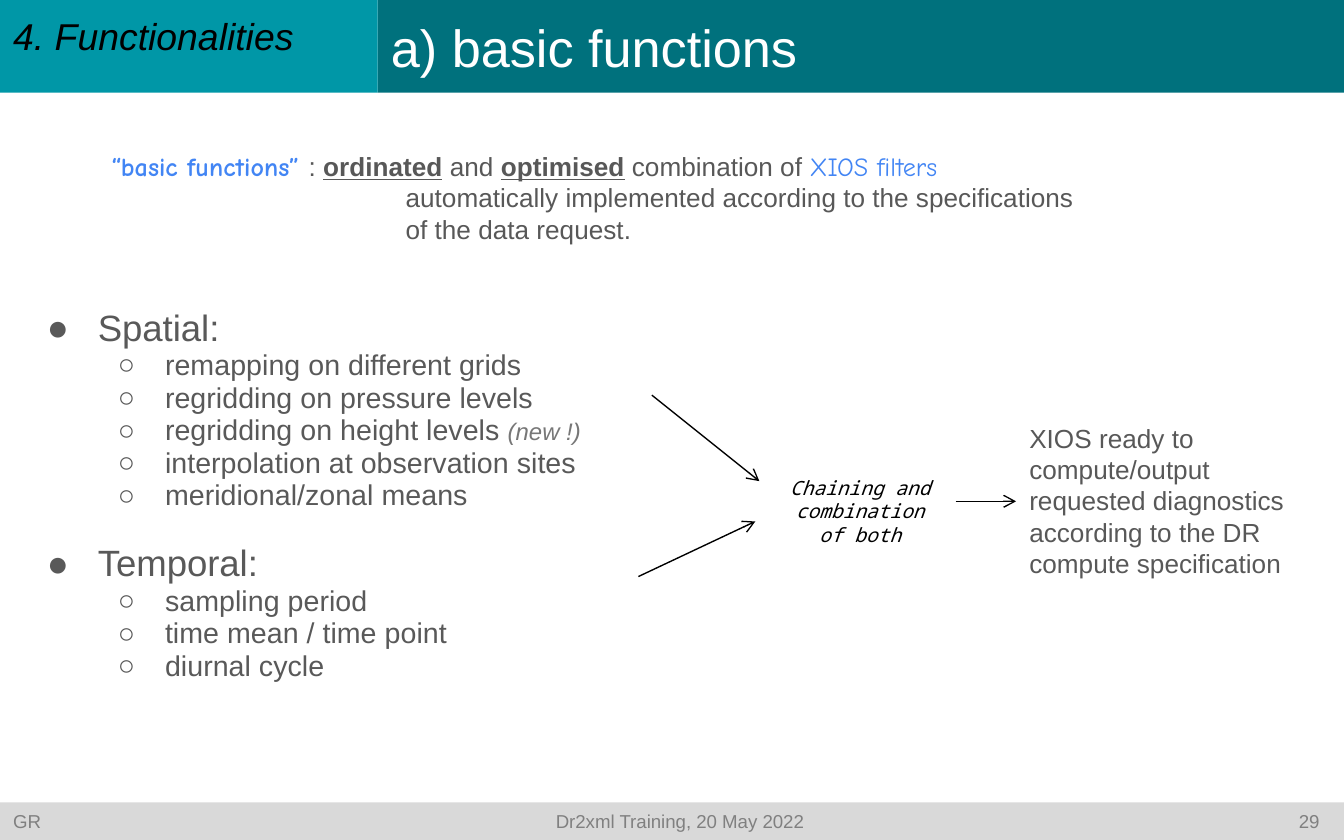
import pptx
import pptx.dml.color
import pptx.enum.shapes
import pptx.enum.text
import pptx.oxml.ns
import pptx.util
from lxml import etree

RGBColor = pptx.dml.color.RGBColor
ANCHOR = pptx.enum.text.MSO_ANCHOR
ALIGN = pptx.enum.text.PP_ALIGN

DARK_TEAL = RGBColor(0x00, 0x71, 0x7D)
TEAL = RGBColor(0x00, 0x97, 0xA7)
LIGHT_GREY = RGBColor(0xD9, 0xD9, 0xD9)
MID_GREY = RGBColor(0x80, 0x80, 0x80)
NOTE_GREY = RGBColor(0x77, 0x77, 0x77)
LIST_GREY = RGBColor(0x59, 0x59, 0x59)
BODY_GREY = RGBColor(0x58, 0x58, 0x58)
BLUE = RGBColor(0x42, 0x85, 0xF4)
BLACK = RGBColor(0, 0, 0)
WHITE = RGBColor(0xFF, 0xFF, 0xFF)

SLIDE_WIDTH = pptx.util.Inches(10)
SLIDE_HEIGHT = pptx.util.Inches(6.25)
BANNER_ROWS = 11.04
SECTION_COLS = 28.1

FUNCTIONS = [
    ("Spatial:", [
        "remapping on different grids",
        "regridding on pressure levels",
        "regridding on height levels ",
        "interpolation at observation sites",
        "meridional/zonal means",
    ]),
    ("Temporal:", ["sampling period", "time mean / time point", "diurnal cycle"]),
]
NEW_FUNCTION = "regridding on height levels "


def cols(count):
    """Length of count columns, each 1/100 of the slide's width."""
    return pptx.util.Emu(round(SLIDE_WIDTH * count / 100))


def rows(count):
    """Length of count rows, each 1/100 of the slide's height."""
    return pptx.util.Emu(round(SLIDE_HEIGHT * count / 100))


def area(left, top, width, height):
    return cols(left), rows(top), cols(width), rows(height)


def add_xml(parent, tag, **attributes):
    return etree.SubElement(parent, pptx.oxml.ns.qn(tag), attributes)


def add_run(paragraph, text, size, color, font="Arial",
            bold=False, italic=False, underline=False):
    run = paragraph.add_run()
    run.text = text
    run.font.name = font
    run.font.size = pptx.util.Pt(size)
    run.font.color.rgb = color
    run.font.bold = bold
    run.font.italic = italic
    run.font.underline = underline


def set_indent(paragraph, margin, hanging):
    properties = paragraph._p.get_or_add_pPr()
    properties.set("marL", str(margin))
    properties.set("indent", str(-hanging))


def add_bar(slide, place, fill, anchor):
    """Filled band; returns its left-aligned first paragraph."""
    bar = slide.shapes.add_shape(pptx.enum.shapes.MSO_SHAPE.RECTANGLE, *place)
    bar.shadow.inherit = False
    bar.fill.solid()
    bar.fill.fore_color.rgb = fill
    bar.line.fill.background()
    frame = bar.text_frame
    frame.vertical_anchor = anchor
    if anchor == ANCHOR.TOP:
        frame.margin_top = cols(1)
    frame.paragraphs[0].alignment = ALIGN.LEFT
    return frame.paragraphs[0]


def add_text(slide, place):
    text_box = slide.shapes.add_textbox(*place)
    text_box.text_frame.word_wrap = True
    return text_box


def add_arrow(slide, start, end, target=None):
    """Arrow between two (column, row) points, or to target's left side."""
    arrow = slide.shapes.add_connector(
        pptx.enum.shapes.MSO_CONNECTOR.STRAIGHT,
        cols(start[0]), rows(start[1]), cols(end[0]), rows(end[1]))
    if target is not None:
        arrow.end_connect(target, 1)
    arrow.line.color.rgb = BLACK
    arrow.line.width = pptx.util.Pt(0.75)
    add_xml(arrow.line._get_or_add_ln(), "a:tailEnd", type="arrow")
    add_xml(arrow._element.spPr, "a:effectLst")


def add_bullet(paragraph, symbol, margin, hanging):
    paragraph.line_spacing = 0.95
    set_indent(paragraph, margin, hanging)
    properties = paragraph._p.get_or_add_pPr()
    bullet_color = add_xml(properties, "a:buClr")
    add_xml(bullet_color, "a:srgbClr", val=str(LIST_GREY))
    add_xml(properties, "a:buFont", typeface="Arial")
    add_xml(properties, "a:buChar", char=symbol)


def add_function_list(slide):
    frame = add_text(slide, area(1.3, 35.04, 61, 49.28)).text_frame
    frame.margin_top = frame.margin_bottom = cols(1)
    for index, (group, functions) in enumerate(FUNCTIONS):
        heading = frame.add_paragraph() if index else frame.paragraphs[0]
        if index:
            heading.space_before = pptx.util.Pt(16.7)
        add_bullet(heading, "●", cols(5), cols(3.8))
        add_run(heading, group, 19.6, LIST_GREY)
        for function in functions:
            item = frame.add_paragraph()
            item.level = 1
            add_bullet(item, "○", cols(10), cols(3.5))
            add_run(item, function, 15.3, LIST_GREY)
            if function == NEW_FUNCTION:
                add_run(item, "(new !)", 12.8, NOTE_GREY, italic=True)


def add_definition(slide):
    definition = add_text(slide, area(7.3, 17.12, 74.3, 12.96)).text_frame.paragraphs[0]
    set_indent(definition, cols(21.9), cols(21.9))
    add_run(definition, "“basic functions” ", 14, BLUE, "Comic Neue", bold=True)
    add_run(definition, ": ", 14, BODY_GREY)
    add_run(definition, "ordinated", 14, BODY_GREY, bold=True, underline=True)
    add_run(definition, " and ", 14, BODY_GREY)
    add_run(definition, "optimised", 14, BODY_GREY, bold=True, underline=True)
    add_run(definition, " combination of ", 14, BODY_GREY)
    add_run(definition, "XIOS filters ", 14, BLUE, "Comic Neue")
    add_run(definition, "automatically implemented according to the "
            "specifications of the data request.", 14, BODY_GREY)


def add_chaining(slide):
    chaining = add_text(slide, area(57.1, 55.84, 13.8, 10.08)).text_frame.paragraphs[0]
    chaining.alignment = ALIGN.CENTER
    add_run(chaining, "Chaining and combination of both", 10.5, BLACK,
            "Noto Sans Mono", italic=True)
    outcome = add_text(slide, area(75.6, 49.44, 21.9, 20.48))
    add_run(outcome.text_frame.paragraphs[0],
            "XIOS ready to compute/output requested diagnostics "
            "according to the DR compute specification", 14, BODY_GREY)
    add_arrow(slide, (48.5, 47.04), (56.5, 57.28))
    add_arrow(slide, (47.5, 68.64), (56.2, 62.08))
    add_arrow(slide, (71.1, 59.68), (75.6, 59.68), outcome)


def add_footer(slide):
    footer = add_bar(slide, area(0, 95.52, 100, 4.48), LIGHT_GREY, ANCHOR.MIDDLE)
    tabs = add_xml(footer._p.get_or_add_pPr(), "a:tabLst")
    for position, alignment in ((49.6, "ctr"), (97.2, "r")):
        add_xml(tabs, "a:tab", pos=str(cols(position)), algn=alignment)
    add_run(footer, "GR\t Dr2xml Training, 20 May 2022 \t29", 10, MID_GREY)


def main():
    presentation = pptx.Presentation()
    presentation.slide_width = SLIDE_WIDTH
    presentation.slide_height = SLIDE_HEIGHT
    slide = presentation.slides.add_slide(presentation.slide_layouts[6])

    title = add_bar(slide, area(SECTION_COLS, 0, 100 - SECTION_COLS, BANNER_ROWS),
                    DARK_TEAL, ANCHOR.MIDDLE)
    add_run(title, "a) basic functions", 28, WHITE)
    section = add_bar(slide, area(0, 0, SECTION_COLS, BANNER_ROWS), TEAL, ANCHOR.TOP)
    add_run(section, "4. Functionalities", 20, BLACK, italic=True)

    add_function_list(slide)
    add_footer(slide)
    add_definition(slide)
    add_chaining(slide)
    presentation.save("out.pptx")


if __name__ == "__main__":
    main()
